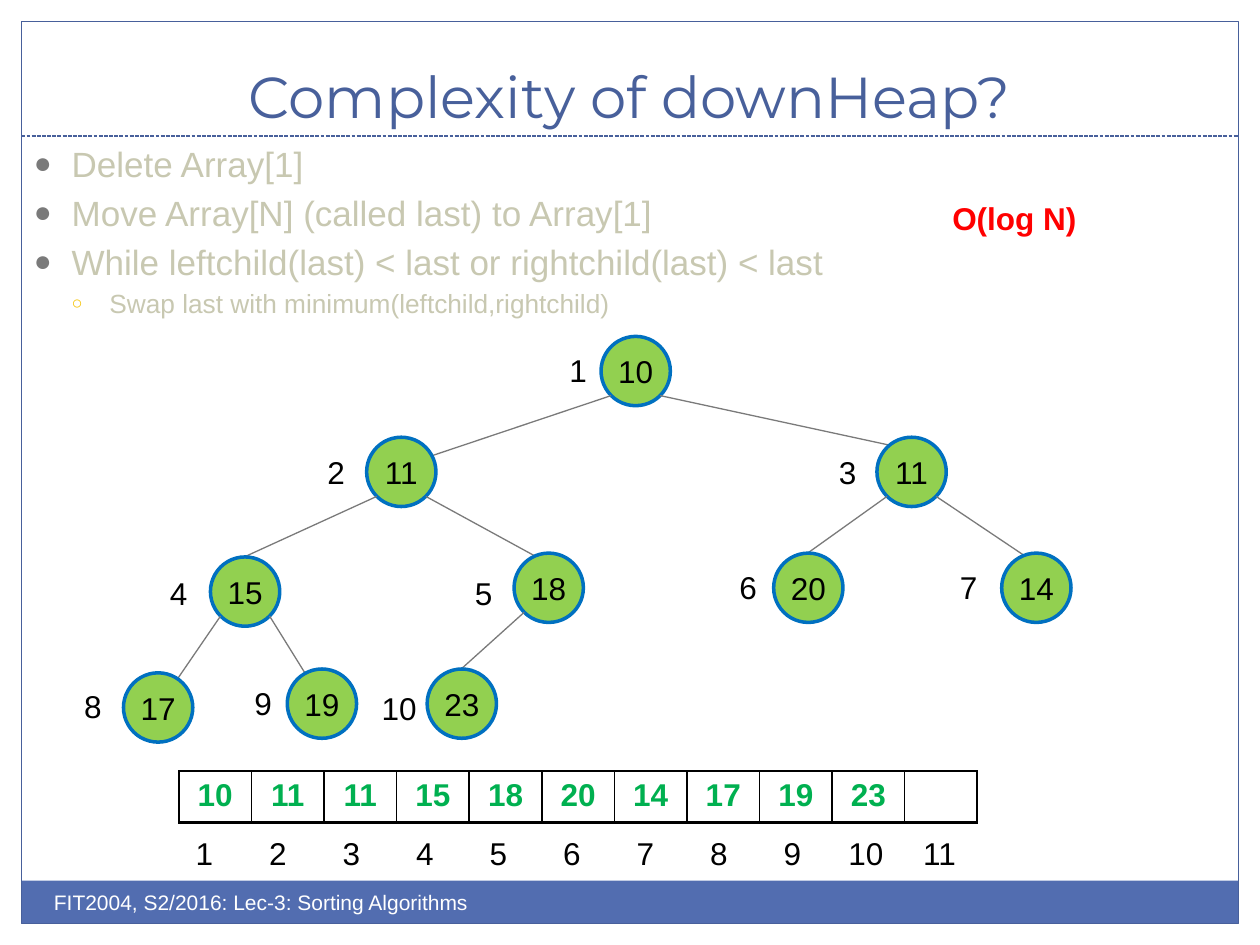
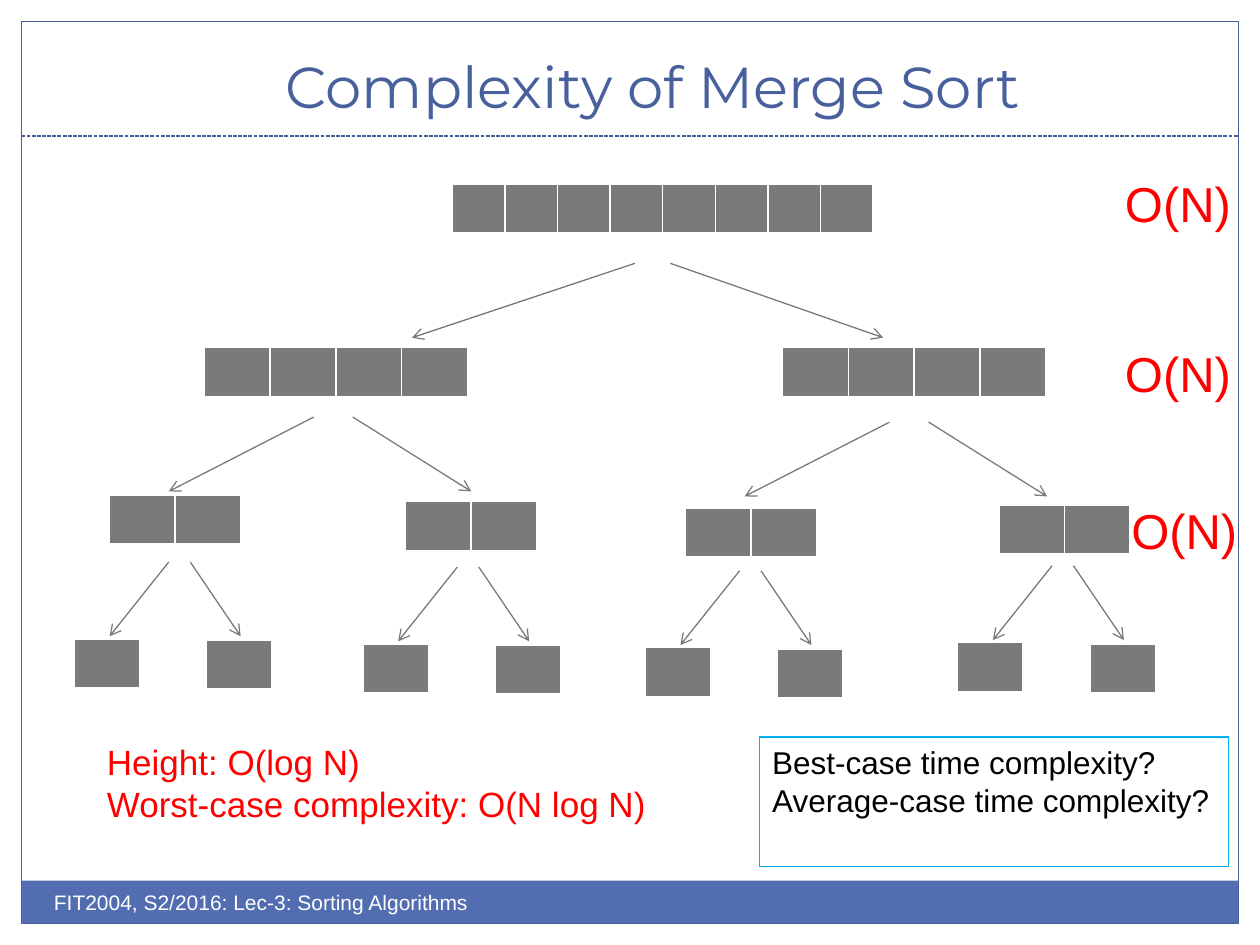
import dataclasses

import lxml.etree
import pptx
import pptx.dml.color
import pptx.enum.dml
import pptx.enum.shapes
import pptx.enum.text
import pptx.oxml.ns
import pptx.util

UNIT = 9144
ALIGN = pptx.enum.text.PP_ALIGN
ANCHOR = pptx.enum.text.MSO_ANCHOR
FIT = pptx.enum.text.MSO_AUTO_SIZE
SHAPE = pptx.enum.shapes.MSO_SHAPE
qn = pptx.oxml.ns.qn


@dataclasses.dataclass(frozen=True)
class Theme:
    """Colours, fonts and type sizes of the deck."""

    frame: str = "48609B"
    band: str = "526DB0"
    white: str = "FFFFFF"
    ink: str = "000000"
    grey: str = "7A7A7A"
    faded: str = "C8C8B1"
    gold: str = "F5C201"
    red: str = "FF0000"
    green: str = "00B050"
    leaf: str = "92D050"
    ring: str = "0070C0"
    sky: str = "00B0F0"
    head: str = "Montserrat"
    body: str = "Arial"
    title: int = 33
    huge: int = 28
    large: int = 20
    text: int = 18
    minor: int = 15
    small: int = 12


def px(*nums):
    """Turn px lengths into EMU."""
    return [pptx.util.Emu(n * UNIT) for n in nums]


def rgb(hue):
    """Turn a hex string into a colour."""
    return pptx.dml.color.RGBColor.from_string(hue)


def put(thing, **vals):
    """Set each named value on an object."""
    for key, val in vals.items():
        setattr(thing, key, val)


def child(node, tag, **vals):
    """Append a drawing element and return it."""
    return lxml.etree.SubElement(node, qn("a:" + tag), vals)


class Deck:
    """Holds the theme, the deck and the current slide."""

    def __init__(self, theme):
        """Start an empty deck with a framed layout."""
        self.theme = theme
        self.deck = pptx.Presentation()
        put(self.deck, slide_width=px(1000)[0], slide_height=px(750)[0])
        self.plan = self.deck.slide_layouts[5]
        self.slide = None

    def page(self, title, spot):
        """Add a slide with its title and footer."""
        first = self.slide is None
        self.slide = self.deck.slides.add_slide(self.plan)
        if first:
            self.frame()
        shape = self.slide.shapes.title
        put(shape, **dict(zip(("left", "top", "width", "height"), px(*spot))))
        put(shape.text_frame, auto_size=FIT.NONE, vertical_anchor=ANCHOR.BOTTOM)
        self.words(shape.text_frame, [title], self.theme.title, self.theme.frame,
                   align=ALIGN.CENTER, face=self.theme.head)
        self.text((33, 701, 500, 40), ["FIT2004, S2/2016: Lec-3: Sorting Algorithms"],
                  self.theme.small, self.theme.white)

    def frame(self):
        """Move the shared band, frame and rule to the layout."""
        for old in list(self.plan.placeholders)[1:]:
            old.element.getparent().remove(old.element)
        parts = [
            self.shape(SHAPE.RECTANGLE, (17, 699, 966, 34), fill=self.theme.band),
            self.shape(SHAPE.RECTANGLE, (17, 17, 966, 716), edge=self.theme.frame),
            self.line((17, 108), (983, 108), self.theme.frame, dash=True),
        ]
        for part in parts:
            self.plan.shapes.element.append(part.element)

    def words(self, frame, lines, size, hue, bold=False, align=ALIGN.LEFT, face=None):
        """Write one paragraph for each line."""
        for i, line in enumerate(lines):
            para = frame.add_paragraph() if i else frame.paragraphs[0]
            put(para, text=line, alignment=align)
            for run in para.runs:
                put(run.font, name=face or self.theme.body, size=pptx.util.Pt(size), bold=bold)
                run.font.color.rgb = rgb(hue)

    def text(self, spot, lines, size, hue, bold=False, wrap=True):
        """Add a text box and return its frame."""
        frame = self.slide.shapes.add_textbox(*px(*spot)).text_frame
        frame.word_wrap = wrap
        self.words(frame, lines, size, hue, bold)
        return frame

    def list(self, spot, rows):
        """Add a bulleted list of (level, line) rows."""
        frame = self.text(spot, [line for _, line in rows], self.theme.large, self.theme.faded)
        marks = [("●", self.theme.grey, 85, self.theme.large, 4),
                 ("○", self.theme.gold, 70, self.theme.minor, 3)]
        for i, (para, (level, _)) in enumerate(zip(frame.paragraphs, rows)):
            mark, hue, scale, size, gap = marks[level]
            props = para._p.get_or_add_pPr()
            put(para, level=level, space_before=pptx.util.Pt(gap if i else 0))
            inset = px(30)[0]
            props.set("marL", str(inset * (level + 1)))
            props.set("indent", str(-inset))
            child(child(props, "buClr"), "srgbClr", val=hue)
            child(props, "buSzPct", val=str(scale * 1000))
            child(props, "buFont", typeface=self.theme.body)
            child(props, "buChar", char=mark)
            para.runs[0].font.size = pptx.util.Pt(size)

    def shape(self, kind, spot, fill=None, edge=None, width=0.75):
        """Add a preset shape."""
        shape = self.slide.shapes.add_shape(kind, *px(*spot))
        shape.shadow.inherit = False
        for part, hue in ((shape.fill, fill), (shape.line.fill, edge)):
            if hue:
                part.solid()
                part.fore_color.rgb = rgb(hue)
            else:
                part.background()
        if edge:
            shape.line.width = pptx.util.Pt(width)
        return shape

    def line(self, start, end, hue, dash=False, arrow=False):
        """Add a straight line or arrow."""
        kind = pptx.enum.shapes.MSO_CONNECTOR.STRAIGHT
        link = self.slide.shapes.add_connector(kind, *px(*start, *end))
        link.line.color.rgb = rgb(hue)
        link.line.width = pptx.util.Pt(0.75)
        if dash:
            link.line.dash_style = pptx.enum.dml.MSO_LINE.SQUARE_DOT
        props = link.element.spPr
        if arrow:
            child(props.find(qn("a:ln")), "tailEnd", type="arrow")
        child(props, "effectLst")
        return link

    def grid(self, spot, vals, hue=None, bold=False, fill=None, edge=None, base=1):
        """Add a one-row table with equal columns."""
        table = self.slide.shapes.add_table(1, len(vals), *px(*spot)).table
        put(table, first_row=False, horz_banding=False)
        for i, val in enumerate(vals):
            table.columns[i].width = spot[2] * UNIT // len(vals)
            cell = table.cell(0, i)
            props = cell._tc.get_or_add_tcPr()
            for side in "LRTB":
                wide = base if side == "B" else 1
                rule = child(props, "ln" + side, w=str(pptx.util.Pt(wide)))
                if edge:
                    child(child(rule, "solidFill"), "srgbClr", val=edge)
                else:
                    child(rule, "noFill")
            if fill:
                cell.fill.solid()
                cell.fill.fore_color.rgb = rgb(fill)
            else:
                cell.fill.background()
            if val:
                self.words(cell.text_frame, [val], self.theme.text, hue, bold, ALIGN.CENTER)

    def node(self, spot, val):
        """Add a tree node with its value."""
        ball = self.shape(SHAPE.OVAL, (*spot, 55, 55), self.theme.leaf, self.theme.ring, 2)
        put(ball.text_frame, word_wrap=False, vertical_anchor=ANCHOR.MIDDLE,
            margin_left=0, margin_right=0, margin_top=0, margin_bottom=0)
        self.words(ball.text_frame, [val], self.theme.text, self.theme.ink, align=ALIGN.CENTER)

    def fork(self, x, y, left, gap, right):
        """Add two arrows that part from one point."""
        for start, shift in ((x, -left), (x + gap, right)):
            self.line((start, y), (start + shift, y + 59), self.theme.grey, arrow=True)

    def cells(self, x, y, count, width):
        """Add a row of blank grey cells."""
        self.grid((x, y, width, 38), [""] * count, fill=self.theme.grey,
                  edge=self.theme.white, base=3)


def heap(deck):
    """Build the downHeap slide."""
    look = deck.theme
    deck.page("Complexity of downHeap?", (33, 25, 933, 83))
    vals = ["10", "11", "11", "15", "18", "20", "14", "17", "19", "23"]
    balls = [(477, 267), (291, 347), (696, 347), (167, 442), (408, 439),
             (614, 439), (795, 439), (98, 534), (228, 531), (339, 531)]
    tags = [(442, 274), (250, 355), (656, 355), (125, 451), (367, 451),
            (577, 446), (752, 446), (57, 540), (192, 538), (293, 542)]
    drops = [0, 23, 10, 0, 8, 0, 8, 28, 24, 0]
    for i, (x, y) in enumerate(balls):
        deck.node((x, y), vals[i])
        for kid, shift in ((2 * i + 1, 8), (2 * i + 2, 47)):
            if kid < len(balls):
                left, top = balls[kid]
                deck.line((x + shift, y + 47), (left + 27, top + drops[kid]), look.grey)
        tag = str(i + 1)
        deck.text((*tags[i], 20 + 14 * len(tag), 40), [tag], look.text, look.ink, wrap=False)
    deck.list((17, 108, 966, 165), [
        (0, "Delete Array[1]"),
        (0, "Move Array[N] (called last) to Array[1]"),
        (0, "While leftchild(last) < last or rightchild(last) < last"),
        (1, "Swap last with minimum(leftchild,rightchild)"),
    ])
    deck.grid((142, 612, 634, 41), vals + [""], look.green, True, edge=look.ink, base=2)
    deck.grid((133, 659, 642, 41), [str(n) for n in range(1, 12)], look.ink)
    deck.text((746, 153, 200, 50), ["O(log N)"], look.text, look.red, bold=True)


def merge(deck):
    """Build the merge sort slide."""
    look = deck.theme
    deck.page("Complexity of Merge Sort", (68, 0, 900, 100))
    deck.cells(359, 146, 8, 334)
    deck.fork(504, 209, 177, 28, 169)
    for x in (162, 621):
        deck.cells(x, 276, 4, 209)
    for x, y in ((249, 331), (706, 335)):
        deck.fork(x, y, 115, 31, 94)
    for x, y in ((87, 393), (322, 398), (544, 403), (793, 401)):
        deck.cells(x, y, 2, 104)
    for x, y in ((134, 446), (363, 450), (587, 453), (835, 449)):
        deck.fork(x, y, 47, 17, 40)
        deck.cells(x - 75, y + 61, 1, 52)
        deck.cells(x + 30, y + 62, 1, 52)
    for x, y in ((883, 133), (883, 268), (888, 392)):
        deck.text((x, y, 112, 57), ["O(N)"], look.huge, look.red, wrap=False)
    deck.text((75, 583, 516, 77), ["Height: O(log N)", "Worst-case complexity: O(N log N)"],
              look.large, look.red)
    box = deck.shape(SHAPE.RECTANGLE, (603, 585, 372, 103), edge=look.sky)
    put(box.text_frame, word_wrap=True, vertical_anchor=ANCHOR.TOP)
    deck.words(box.text_frame, ["Best-case time complexity?\vAverage-case time complexity?"],
               look.text, look.ink)


def main():
    """Build and save the deck."""
    deck = Deck(Theme())
    heap(deck)
    merge(deck)
    deck.deck.save("out.pptx")


if __name__ == "__main__":
    main()
